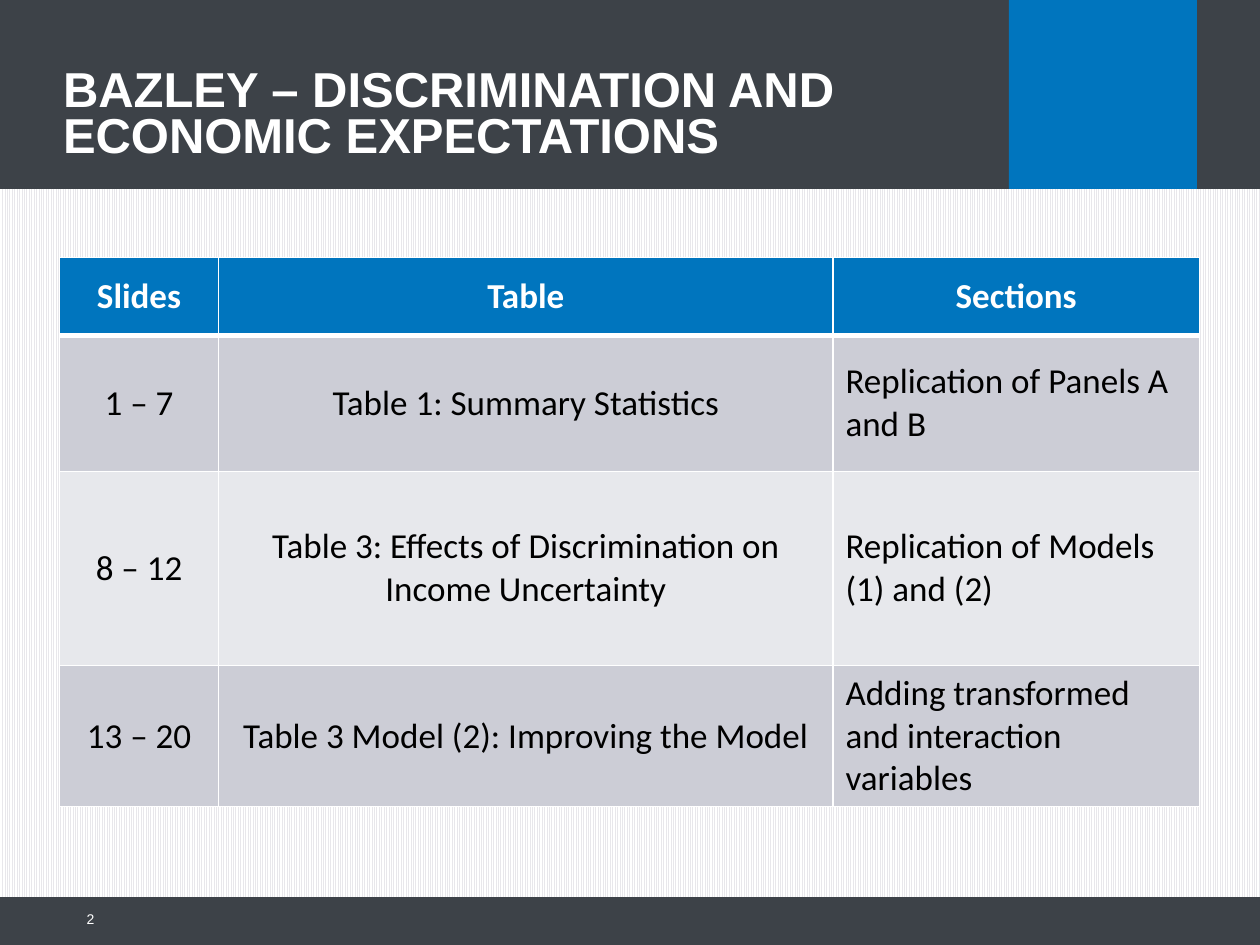
import pptx
import pptx.dml.color
import pptx.enum.dml
import pptx.enum.shapes
import pptx.enum.text
import pptx.oxml
import pptx.oxml.ns
import pptx.util

Pt = pptx.util.Pt
RGB = pptx.dml.color.RGBColor.from_string
ALIGN = pptx.enum.text.PP_ALIGN
MIDDLE = pptx.enum.text.MSO_ANCHOR.MIDDLE

TITLE = "BAZLEY – DISCRIMINATION AND ECONOMIC EXPECTATIONS"
PAGE_NUMBER = "2"
ROWS = [
    ("Slides", "Table", "Sections"),
    ("1 – 7", "Table 1: Summary Statistics", "Replication of Panels A and B"),
    ("8 – 12", "Table 3: Effects of Discrimination on Income Uncertainty",
     "Replication of Models (1) and (2)"),
    ("13 – 20", "Table 3 Model (2): Improving the Model",
     "Adding transformed and interaction variables"),
]

THEME = {
    "dark": "3D4248", "accent": "0075BE", "white": "FFFFFF", "black": "000000",
    "stripe": "E8E7EB", "bands": ("CCCDD6", "E7E8EC"),
    "heading_font": "Arial", "table_font": "Calibri",
    "title_size": 28, "title_leading": 26, "table_size": 20, "number_size": 8,
}

WIDTH, HEIGHT = 720, 540
HEADER_H, FOOTER_H = 108, 27.4
BARS = [  # left, top, width, height, colour
    (0, HEIGHT - FOOTER_H, WIDTH, FOOTER_H, "dark"),
    (0, 0, WIDTH, HEADER_H, "dark"),
    (576.5, 0, 107.5, HEADER_H, "accent"),
]
TITLE_BOX = (36, 26.6, 467.3, 81.4)
NUMBER_BOX = (36, 510.5, 18, 28.8)
TABLE_LEFT, TABLE_TOP = 34, 147
COL_WIDTHS = (91, 351, 209.5)
ROW_HEIGHTS = (44.6, 77.8, 110.9, 77.8)


def points(*lengths):
    return [Pt(n) for n in lengths]


def style_text(p, font, size, color, bold=False, align=ALIGN.LEFT):
    p.alignment = align
    p.font.name, p.font.size, p.font.bold = font, Pt(size), bold
    p.font.color.rgb = RGB(THEME[color])


def plain_frame(tf):
    """Centre the text vertically, with no insets."""
    tf.margin_left = tf.margin_top = tf.margin_right = tf.margin_bottom = 0
    tf.vertical_anchor = MIDDLE
    tf.word_wrap = True
    tf.auto_size = pptx.enum.text.MSO_AUTO_SIZE.NONE


def add_borders(cell, bottom):
    tcPr = cell._tc.get_or_add_tcPr()
    for side, width in (("L", 1), ("R", 1), ("T", 1), ("B", bottom)):
        tcPr.append(pptx.oxml.parse_xml(
            f'<a:ln{side} {pptx.oxml.ns.nsdecls("a")} w="{Pt(width)}"><a:solidFill>'
            f'<a:srgbClr val="{THEME["white"]}"/></a:solidFill></a:ln{side}>'))


def add_bars(s):
    for *box, color in BARS:
        bar = s.shapes.add_shape(pptx.enum.shapes.MSO_SHAPE.RECTANGLE, *points(*box))
        bar.shadow.inherit = False
        bar.fill.solid()
        bar.fill.fore_color.rgb = RGB(THEME[color])
        bar.line.fill.background()


def add_title(s):
    title = s.shapes.title
    title.left, title.top, title.width, title.height = points(*TITLE_BOX)
    title.text = TITLE
    plain_frame(title.text_frame)
    p = title.text_frame.paragraphs[0]
    style_text(p, THEME["heading_font"], THEME["title_size"], "white", bold=True)
    p.line_spacing = Pt(THEME["title_leading"])
    title.element.getparent().append(title.element)  # in front of the header bar


def add_page_number(s):
    tf = s.shapes.add_textbox(*points(*NUMBER_BOX)).text_frame
    tf.text = PAGE_NUMBER
    plain_frame(tf)
    style_text(tf.paragraphs[0], THEME["heading_font"], THEME["number_size"],
               "white", align=ALIGN.RIGHT)


def add_contents_table(s):
    table = s.shapes.add_table(
        len(ROWS), len(COL_WIDTHS),
        *points(TABLE_LEFT, TABLE_TOP, sum(COL_WIDTHS), sum(ROW_HEIGHTS))).table
    for column, width in zip(table.columns, COL_WIDTHS):
        column.width = Pt(width)
    for i, (texts, height) in enumerate(zip(ROWS, ROW_HEIGHTS)):
        table.rows[i].height = Pt(height)
        header = i == 0
        fill = THEME["accent"] if header else THEME["bands"][(i - 1) % 2]
        for j, text in enumerate(texts):
            cell = table.cell(i, j)
            cell.text = text
            cell.vertical_anchor = MIDDLE
            add_borders(cell, bottom=3 if header else 1)
            cell.fill.solid()
            cell.fill.fore_color.rgb = RGB(fill)
            style_text(cell.text_frame.paragraphs[0], THEME["table_font"],
                       THEME["table_size"], "white" if header else "black", header,
                       ALIGN.CENTER if header or j < 2 else ALIGN.LEFT)


def main():
    prs = pptx.Presentation()
    prs.slide_width, prs.slide_height = points(WIDTH, HEIGHT)
    s = prs.slides.add_slide(prs.slide_layouts[5])
    background = s.background.fill
    background.patterned()
    background.pattern = pptx.enum.dml.MSO_PATTERN.NARROW_VERTICAL
    background.fore_color.rgb = RGB(THEME["stripe"])
    background.back_color.rgb = RGB(THEME["white"])
    add_bars(s)
    add_page_number(s)
    add_contents_table(s)
    add_title(s)
    prs.save("out.pptx")


if __name__ == "__main__":
    main()
